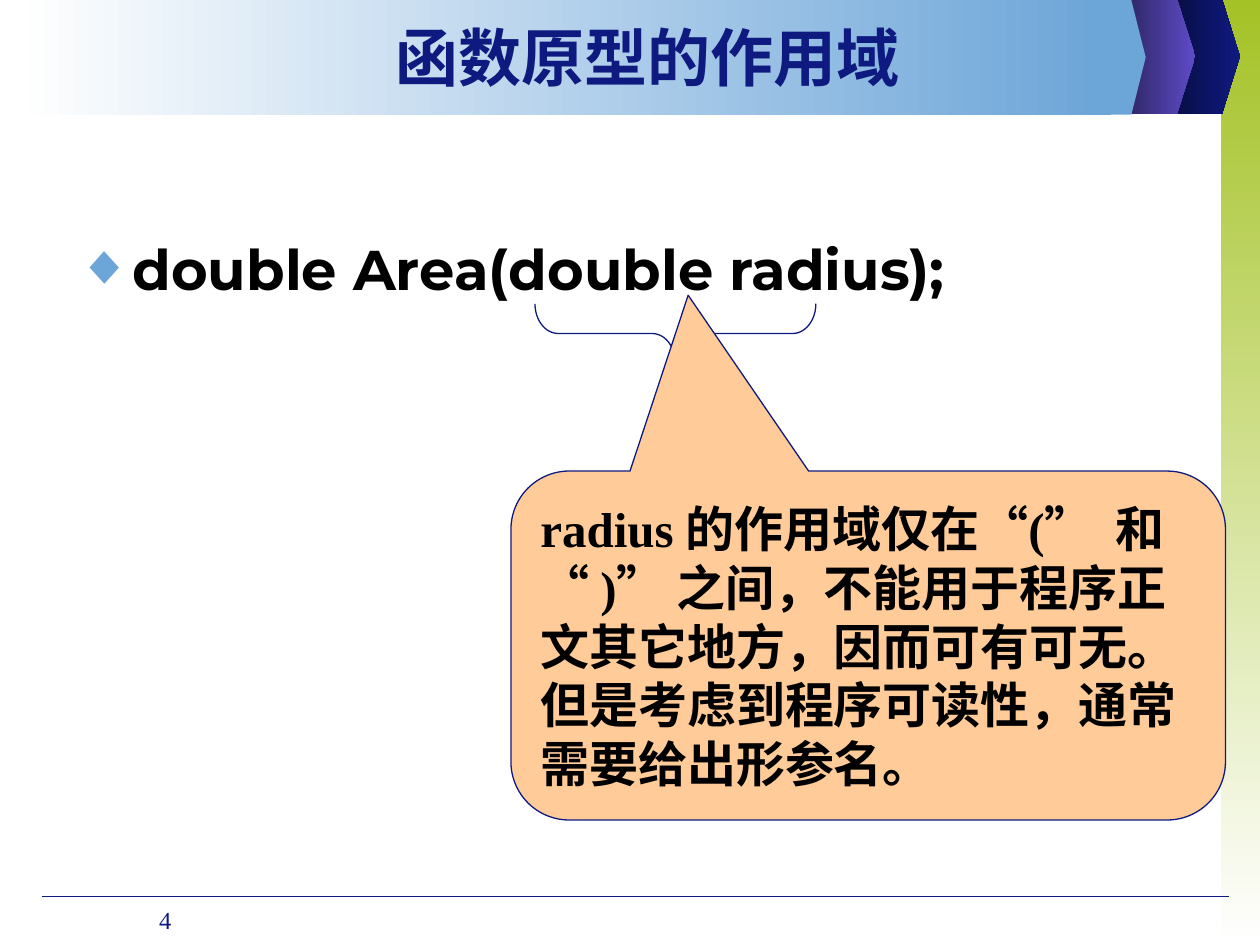
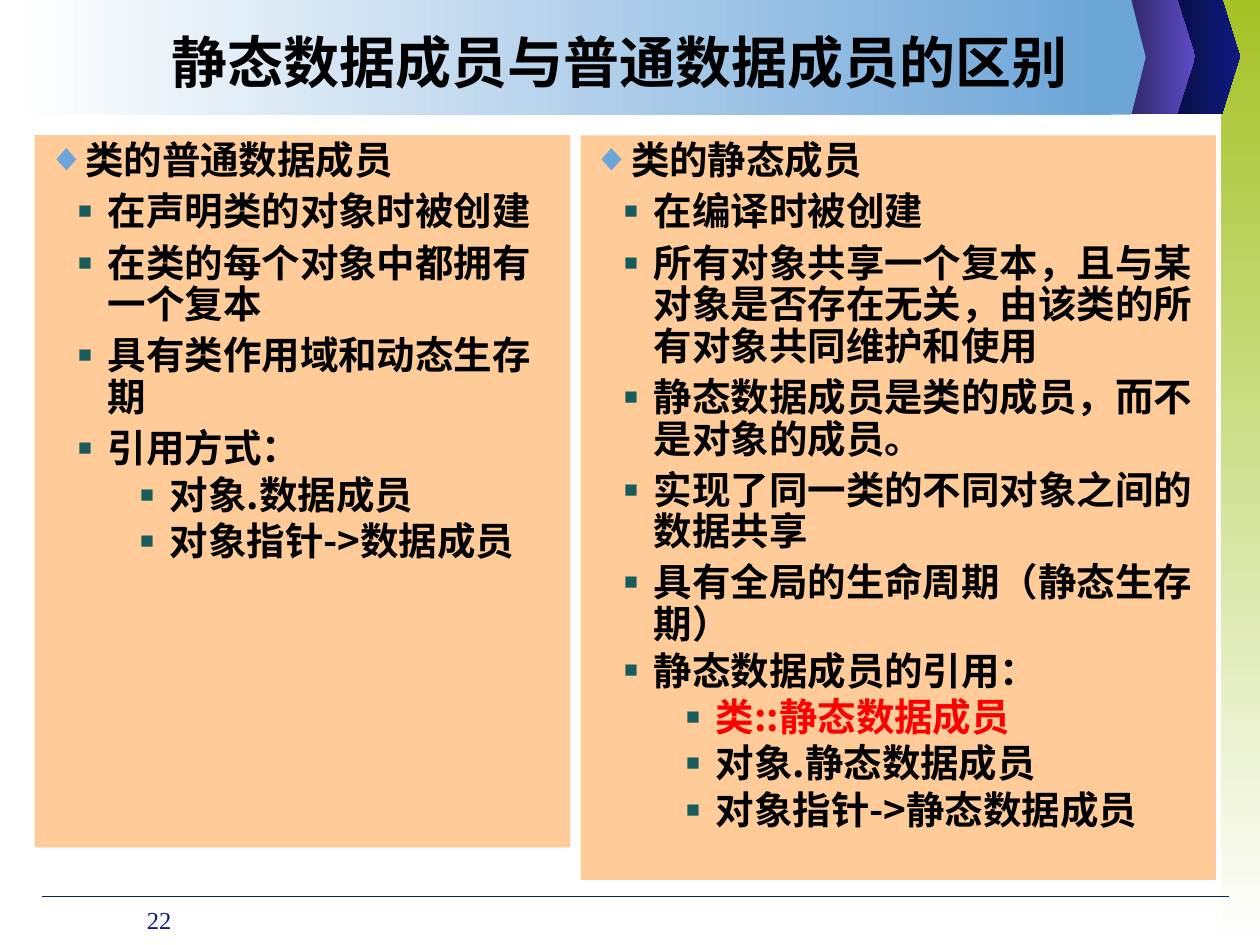
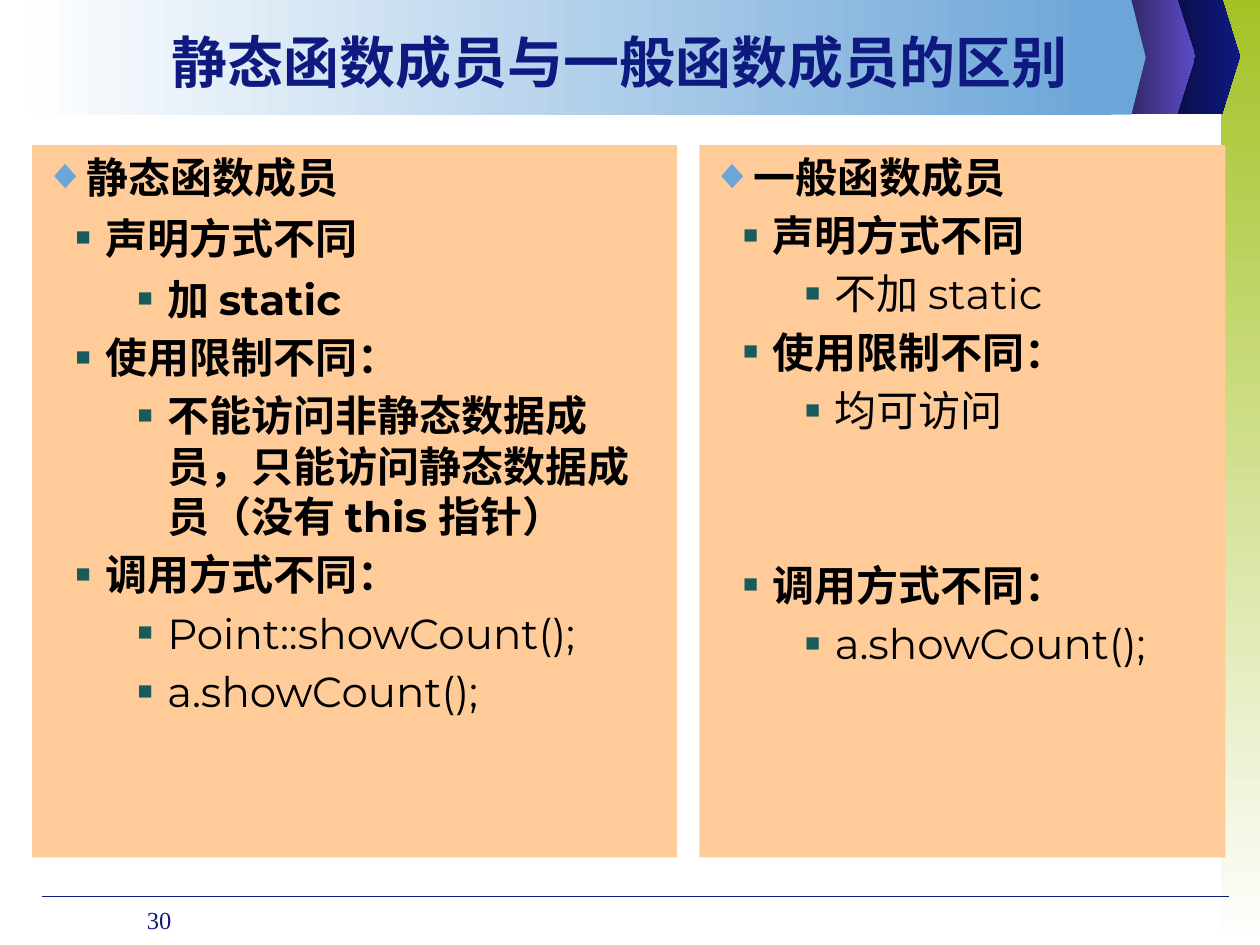
from lxml import etree
from pptx import Presentation
from pptx.dml import color
from pptx.enum import shapes, text
from pptx.oxml import ns
from pptx.util import Pt

COLORS = {
    "navy": "0F1A81", "midnight": "070C3C", "plum": "2B235C", "violet": "5D4BC7",
    "sky": "6CA5D8", "green": "A4C226", "teal": "175B5B", "peach": "FFCC99",
    "white": "FFFFFF", "black": "000000", "red": "FF0000",
}
HAN, LATIN, SERIF = "Noto Sans CJK SC", "Montserrat", "Times New Roman"
LEFT, CENTER, RIGHT = text.PP_ALIGN.LEFT, text.PP_ALIGN.CENTER, text.PP_ALIGN.RIGHT
TOP, MIDDLE = text.MSO_ANCHOR.TOP, text.MSO_ANCHOR.MIDDLE

# Bullet by outline level: sign, colour, size in percent, left margin, hanging indent
BULLETS = [
    ("◆", "sky", 100, 20, 20),
    ("■", "teal", 60, 34.8, 17),
    ("■", "teal", 60, 70.2, 17),
]

PROTOTYPE = {
    "number": 4,
    "title": ("函数原型的作用域", (88, 15, 564, 45), dict(size=36, color="navy", spacing=0.7)),
    "code": "double Area(double radius);",
    "note": "radius 的作用域仅在“(”  和 “ )” 之间，不能用于程序正文其它地方，"
            "因而可有可无。但是考虑到程序可读性，通常需要给出形参名。",
}

# Panel rows: outline level, wording, differences from the panel's format
COMPARISONS = [
    {
        "number": 22,
        "title": ("静态数据成员与普通数据成员的区别", (65.3, 10, 578, 50),
                  dict(size=32, color="black")),
        "format": dict(size=22, font=HAN, spacing=0.9),
        "before": [0, 5.5, 2.8],
        "panels": [
            ((19.8, 77.3, 306, 407), [
                (0, "类的普通数据成员", {}),
                (1, "在声明类的对象时被创建", {}),
                (1, "在类的每个对象中都拥有一个复本", {}),
                (1, "具有类作用域和动态生存期", {}),
                (1, "引用方式：", {}),
                (2, "对象.数据成员", {}),
                (2, "对象指针->数据成员", {}),
            ]),
            ((331.8, 77.3, 363, 425.5), [
                (0, "类的静态成员", {}),
                (1, "在编译时被创建", {}),
                (1, "所有对象共享一个复本，且与某对象是否存在无关，由该类的所有对象共同维护和使用", {}),
                (1, "静态数据成员是类的成员，而不是对象的成员。", {}),
                (1, "实现了同一类的不同对象之间的数据共享", {}),
                (1, "具有全局的生命周期（静态生存期）", {}),
                (1, "静态数据成员的引用：", dict(before=2.8)),
                (2, "类::静态数据成员", dict(color="red")),
                (2, "对象.静态数据成员", {}),
                (2, "对象指针->静态数据成员", {}),
            ]),
        ],
    },
    {
        "number": 30,
        "title": ("静态函数成员与一般函数成员的区别", (65.3, 10, 578, 50),
                  dict(size=32, color="navy")),
        "format": dict(size=24, font=LATIN),
        "before": [0, 4.5, 4.5],
        "panels": [
            ((18.3, 83, 368.6, 407), [
                (0, "静态函数成员", {}),
                (1, "声明方式不同", dict(before=6)),
                (2, "加 static", dict(before=6)),
                (1, "使用限制不同：", {}),
                (2, "不能访问非静态数据成员，只能访问静态数据成员（没有 this 指针）", {}),
                (1, "调用方式不同：", {}),
                (2, "Point::showCount();", dict(bold=False)),
                (2, "a.showCount();", dict(bold=False)),
            ]),
            ((399.7, 83, 300.5, 407), [
                (0, "一般函数成员", {}),
                (1, "声明方式不同", {}),
                (2, "不加 static", dict(bold=False)),
                (1, "使用限制不同：", {}),
                (2, "均可访问", dict(bold=False)),
                (1, "调用方式不同：", dict(before=71)),
                (2, "a.showCount();", dict(bold=False)),
            ]),
        ],
    },
]


def rgb(name):
    return color.RGBColor.from_string(COLORS[name])


def points(values):
    return [Pt(value) for value in values]


def add_child(parent, tag, **attributes):
    return etree.SubElement(parent, ns.qn(tag), attributes)


def add_bullet(paragraph, level):
    sign, tint, percent, margin, hanging = BULLETS[level]
    properties = paragraph._p.get_or_add_pPr()
    properties.set("marL", str(Pt(margin)))
    properties.set("indent", str(-Pt(hanging)))
    add_child(add_child(properties, "a:buClr"), "a:srgbClr", val=COLORS[tint])
    add_child(properties, "a:buSzPct", val=str(percent * 1000))
    add_child(properties, "a:buFont", typeface=SERIF)
    add_child(properties, "a:buChar", char=sign)


def write(frame, wording, size=24, font=HAN, color="black", bold=True, align=LEFT,
          level=None, before=0, spacing=None):
    """Put wording into the frame's empty first paragraph or a new one."""
    paragraph = frame.paragraphs[0]
    if paragraph.runs:
        paragraph = frame.add_paragraph()
    if level is not None:
        paragraph.level = level
        add_bullet(paragraph, level)
    paragraph._p.get_or_add_pPr().set("hangingPunct", "0")
    paragraph.alignment = align
    paragraph.space_before = Pt(before)
    if spacing:
        paragraph.line_spacing = spacing
    run = paragraph.add_run()
    run.text = wording
    run.font.size, run.font.bold, run.font.name = Pt(size), bold, font
    run.font.color.rgb = rgb(color)
    add_child(run._r.get_or_add_rPr(), "a:ea", typeface=HAN)


def prepare(frame, anchor=TOP, top=3.6):
    frame.word_wrap = True
    frame.vertical_anchor = anchor
    frame.margin_top = Pt(top)
    return frame


def add_box(slide, place, **setup):
    return prepare(slide.shapes.add_textbox(*points(place)).text_frame, **setup)


def paint(shape, fill=(), line=None, angle=0):
    """Fill with no colour, one colour or a gradient of two, and outline."""
    shape.shadow.inherit = False
    if len(fill) == 2:
        shape.fill.gradient()
        shape.fill.gradient_angle = angle
        for stop, tint in zip(shape.fill.gradient_stops, fill):
            stop.color.rgb = rgb(tint)
    elif fill:
        shape.fill.solid()
        shape.fill.fore_color.rgb = rgb(fill[0])
    else:
        shape.fill.background()
    if line:
        shape.line.color.rgb = rgb(line)
        shape.line.width = Pt(0.75)
    else:
        shape.line.fill.background()
    return shape


def add_preset(slide, kind, place, **look):
    return paint(slide.shapes.add_shape(kind, *points(place)), **look)


def add_arrow_band(slide, left, shoulder, tip, top, fill):
    bottom = top + 65.6
    outline = [(left, top), (shoulder, top), (tip, (top + bottom) / 2),
               (shoulder, bottom), (left, bottom)]
    corners = [points(corner) for corner in outline]
    builder = slide.shapes.build_freeform(*corners[0], scale=1.0)
    builder.add_line_segments(corners[1:], close=True)
    paint(builder.convert_to_shape(), fill=fill)


def start_slide(deck, content):
    """Add a slide with the shared bands, footer rule, page number and title."""
    slide = deck.slides.add_slide(deck.slide_layouts[6])
    rectangle = shapes.MSO_SHAPE.RECTANGLE
    add_preset(slide, rectangle, (697.7, 0, 22.3, 540), fill=("green", "white"), angle=270)
    add_arrow_band(slide, 666, 698.3, 708.5, -0.5, ("midnight", "navy"))
    add_arrow_band(slide, 640.5, 672.6, 683, -0.5, ("plum", "violet"))
    rule = slide.shapes.add_connector(shapes.MSO_CONNECTOR.STRAIGHT,
                                      *points((24, 512.5, 702, 512.5)))
    rule.line.color.rgb = rgb("navy")
    rule.line.width = Pt(0.75)
    add_child(rule._element.spPr, "a:effectLst")
    add_preset(slide, rectangle, (8.5, 0, 626.5, 65.6), fill=("white", "sky"))
    add_arrow_band(slide, 621.5, 646.5, 654.7, 0, ("sky",))
    write(add_box(slide, (48, 513.6, 57, 26)), str(content["number"]),
          size=14, font=SERIF, color="navy", bold=False, align=RIGHT)
    title, place, style = content["title"]
    write(add_box(slide, place, anchor=MIDDLE), title, align=CENTER, **style)
    return slide


def build_prototype(deck, content):
    slide = start_slide(deck, content)
    write(add_box(slide, (36.7, 84, 635, 407), top=50), content["code"],
          size=32, font=LATIN, level=0)

    brace = add_preset(slide, shapes.MSO_SHAPE.LEFT_BRACE, (369, 110.3, 34, 160.5), line="navy")
    brace.rotation = 270
    brace.adjustments[0] = 0.39

    callout = add_preset(slide, shapes.MSO_SHAPE.ROUNDED_RECTANGULAR_CALLOUT,
                         (292, 269.2, 408.3, 199.4), fill=("peach",), line="navy")
    for index, value in enumerate((-0.252, -1.004, 0.167)):
        callout.adjustments[index] = value
    write(prepare(callout.text_frame, anchor=MIDDLE), content["note"], size=28, font=SERIF)


def build_comparison(deck, content):
    slide = start_slide(deck, content)
    for place, rows in content["panels"]:
        panel = add_preset(slide, shapes.MSO_SHAPE.RECTANGLE, place, fill=("peach",))
        frame = prepare(panel.text_frame)
        for level, wording, changes in rows:
            style = {"before": content["before"][level], **content["format"], **changes}
            write(frame, wording, level=level, **style)


def main():
    deck = Presentation()
    deck.slide_width, deck.slide_height = Pt(720), Pt(540)
    build_prototype(deck, PROTOTYPE)
    for content in COMPARISONS:
        build_comparison(deck, content)
    deck.save("out.pptx")


if __name__ == "__main__":
    main()
